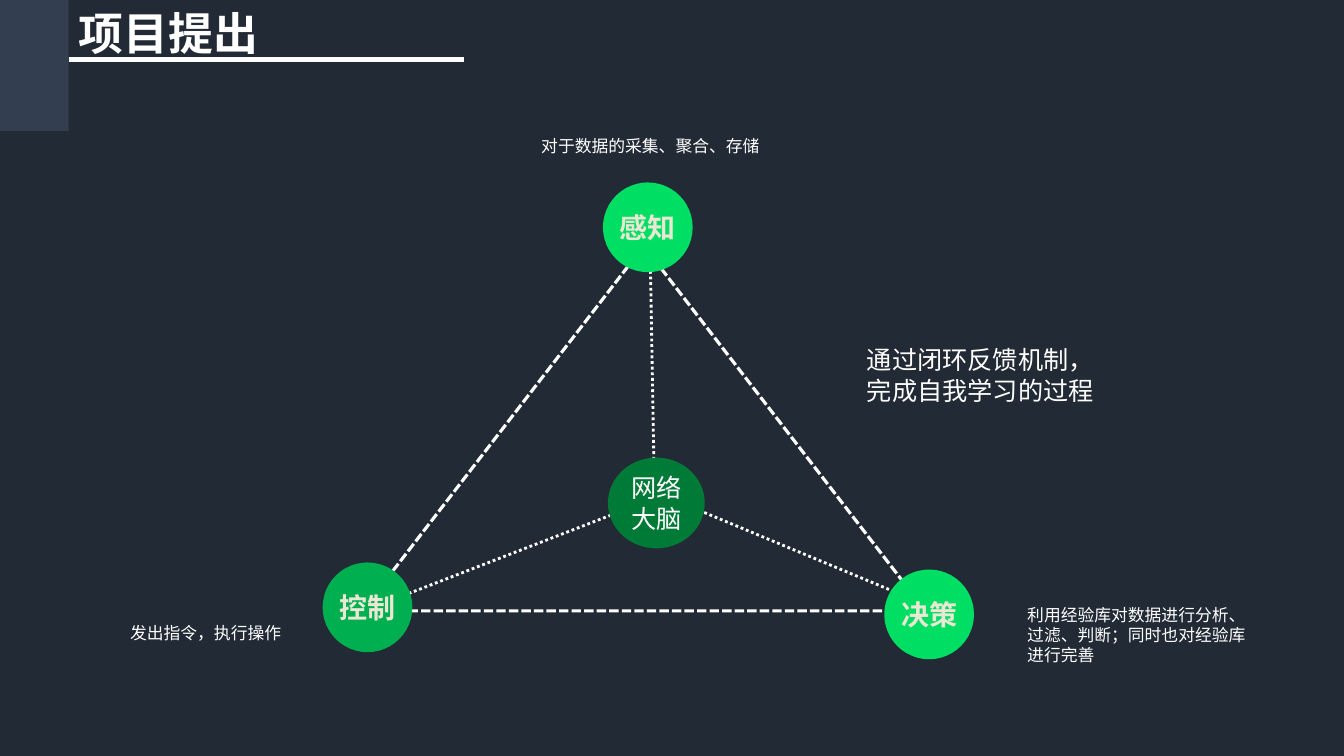
from dataclasses import dataclass

from lxml.etree import SubElement
from pptx import Presentation
from pptx.dml.color import RGBColor
from pptx.enum.dml import MSO_LINE
from pptx.enum.shapes import MSO_CONNECTOR, MSO_SHAPE
from pptx.enum.text import MSO_ANCHOR, MSO_AUTO_SIZE, PP_ALIGN
from pptx.oxml.ns import qn
from pptx.util import Inches, Pt


@dataclass(frozen=True)
class Theme:
    background: RGBColor = RGBColor.from_string("222A35")
    corner: RGBColor = RGBColor.from_string("333F50")
    white: RGBColor = RGBColor.from_string("FFFFFF")
    cream: RGBColor = RGBColor.from_string("EAE7D4")
    bright_green: RGBColor = RGBColor.from_string("00DE64")
    green: RGBColor = RGBColor.from_string("00B050")
    dark_green: RGBColor = RGBColor.from_string("007A37")
    latin: str = "Calibri"
    chinese: str = "Noto Sans CJK SC"
    title: int = 32
    stage: int = 20
    body: int = 18
    caption: int = 12


theme = Theme()


def write(frame, text, size, font, color=theme.white, bold=False, align=PP_ALIGN.LEFT):
    """Put one formatted paragraph into a text frame."""
    frame.text = text
    frame.word_wrap = True
    paragraph = frame.paragraphs[0]
    paragraph.alignment = align
    run = paragraph.runs[0]
    run.font.size = Pt(size)
    run.font.name = font
    run.font.bold = bold
    run.font.color.rgb = color
    SubElement(run.font._element, qn("a:ea"), typeface=theme.chinese)


def add_line(start, end, width, dash=MSO_LINE.SOLID):
    line = slide.shapes.add_connector(
        MSO_CONNECTOR.STRAIGHT, *map(Inches, start), *map(Inches, end))
    line.line.color.rgb = theme.white
    line.line.width = Pt(width)
    line.line.dash_style = dash
    SubElement(line._element.spPr, qn("a:effectLst"))


prs = Presentation()
prs.slide_width = Inches(13.33)
prs.slide_height = Inches(7.5)
slide = prs.slides.add_slide(prs.slide_layouts[5])
slide.background.fill.solid()
slide.background.fill.fore_color.rgb = theme.background

# Heading
corner = slide.shapes.add_shape(
    MSO_SHAPE.RECTANGLE, 0, 0, Inches(0.68), Inches(1.3))
corner.shadow.inherit = False
corner.fill.solid()
corner.fill.fore_color.rgb = theme.corner
corner.line.fill.background()

title = slide.shapes.title
title.left, title.top = Inches(0.68), Inches(0.01)
title.width, title.height = Inches(2.01), Inches(0.64)
write(title.text_frame, "项目提出", theme.title, theme.chinese, bold=True)
title.text_frame.auto_size = MSO_AUTO_SIZE.NONE
title.text_frame.vertical_anchor = MSO_ANCHOR.TOP
add_line((0.68, 0.59), (4.6, 0.59), 3)

# Feedback loop and the spokes to its centre
for brain_side, stage_side in [
    ((6.49, 4.84), (6.45, 2.58)),
    ((6.06, 5.11), (3.92, 5.94)),
    ((6.83, 5.02), (8.99, 5.92)),
]:
    add_line(brain_side, stage_side, 2, MSO_LINE.ROUND_DOT)

loop = slide.shapes.add_shape(
    MSO_SHAPE.ISOSCELES_TRIANGLE, Inches(3.59), Inches(2.44), Inches(5.59), Inches(3.62))
loop.shadow.inherit = False
loop.fill.background()
loop.line.color.rgb = theme.white
loop.line.width = Pt(2.25)
loop.line.dash_style = MSO_LINE.SQUARE_DOT

# Brain and the three stages
for text, left, top, width, height, fill, color, size, bold in [
    ("网络大脑", 6.03, 4.54, 0.96, 0.9, theme.dark_green, theme.white, theme.body, False),
    ("感知", 5.98, 1.81, 0.89, 0.89, theme.bright_green, theme.cream, theme.stage, True),
    ("决策", 8.77, 5.65, 0.89, 0.89, theme.bright_green, theme.cream, theme.stage, True),
    ("控制", 3.2, 5.58, 0.89, 0.89, theme.green, theme.cream, theme.stage, True),
]:
    node = slide.shapes.add_shape(
        MSO_SHAPE.OVAL, Inches(left), Inches(top), Inches(width), Inches(height))
    node.shadow.inherit = False
    node.fill.solid()
    node.fill.fore_color.rgb = fill
    node.line.fill.background()
    frame = node.text_frame
    write(frame, text, size, theme.latin, color, bold, PP_ALIGN.CENTER)
    frame.margin_left = frame.margin_right = 0
    frame.margin_top = frame.margin_bottom = 0
    frame.vertical_anchor = MSO_ANCHOR.MIDDLE

# Explanations
for text, left, top, width, height, size, font, align in [
    ("发出指令，执行操作", 0.82, 6.13, 2.44, 0.3,
     theme.caption, theme.chinese, PP_ALIGN.CENTER),
    ("利用经验库对数据进行分析、过滤、判断；同时也对经验库进行完善", 10.09, 5.95, 2.44, 0.71,
     theme.caption, theme.chinese, PP_ALIGN.LEFT),
    ("对于数据的采集、聚合、存储", 5.27, 1.3, 2.44, 0.3,
     theme.caption, theme.chinese, PP_ALIGN.LEFT),
    ("通过闭环反馈机制，完成自我学习的过程", 8.5, 3.37, 2.47, 0.71,
     theme.body, theme.latin, PP_ALIGN.LEFT),
]:
    note = slide.shapes.add_textbox(
        Inches(left), Inches(top), Inches(width), Inches(height))
    write(note.text_frame, text, size, font, align=align)

prs.save("out.pptx")
